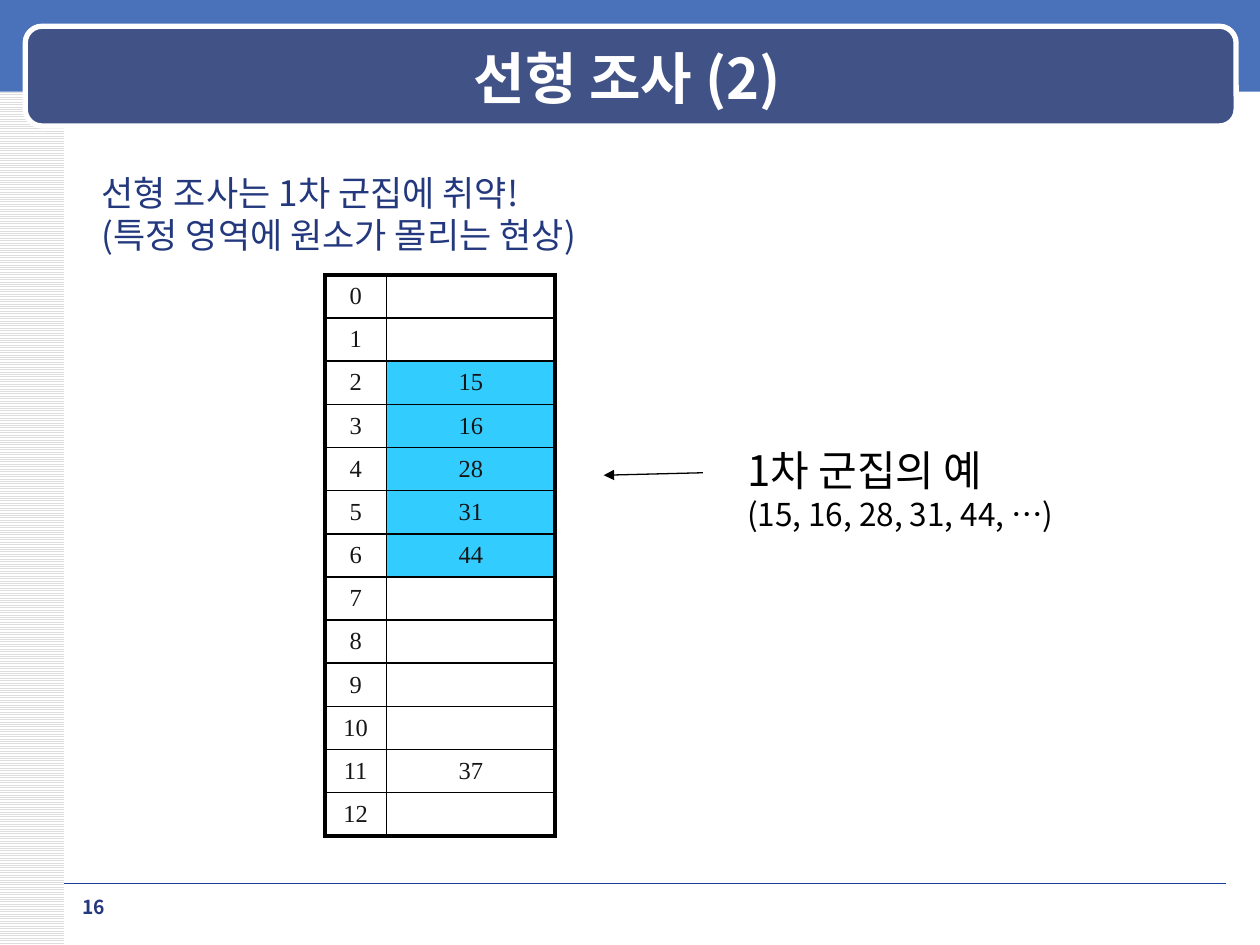
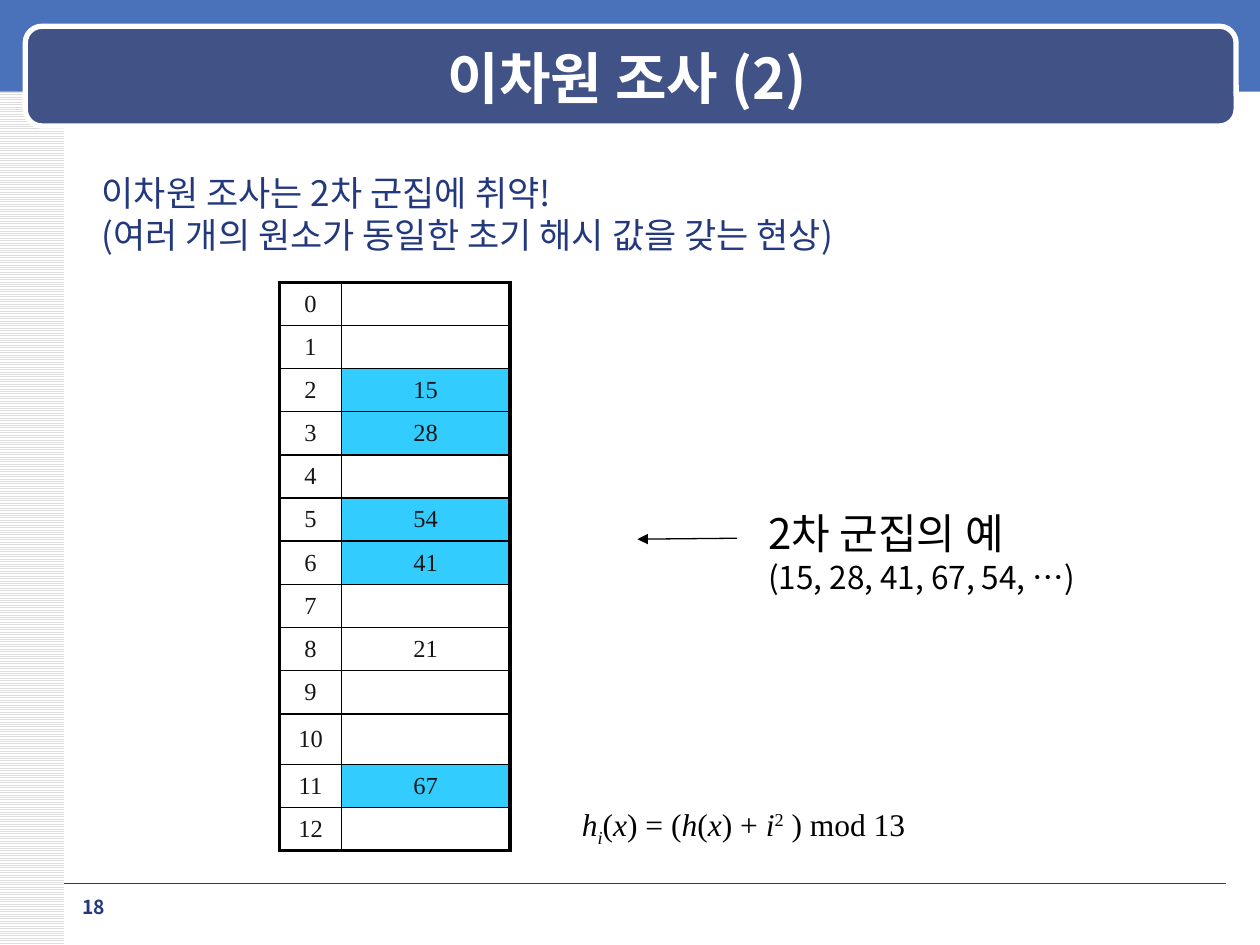
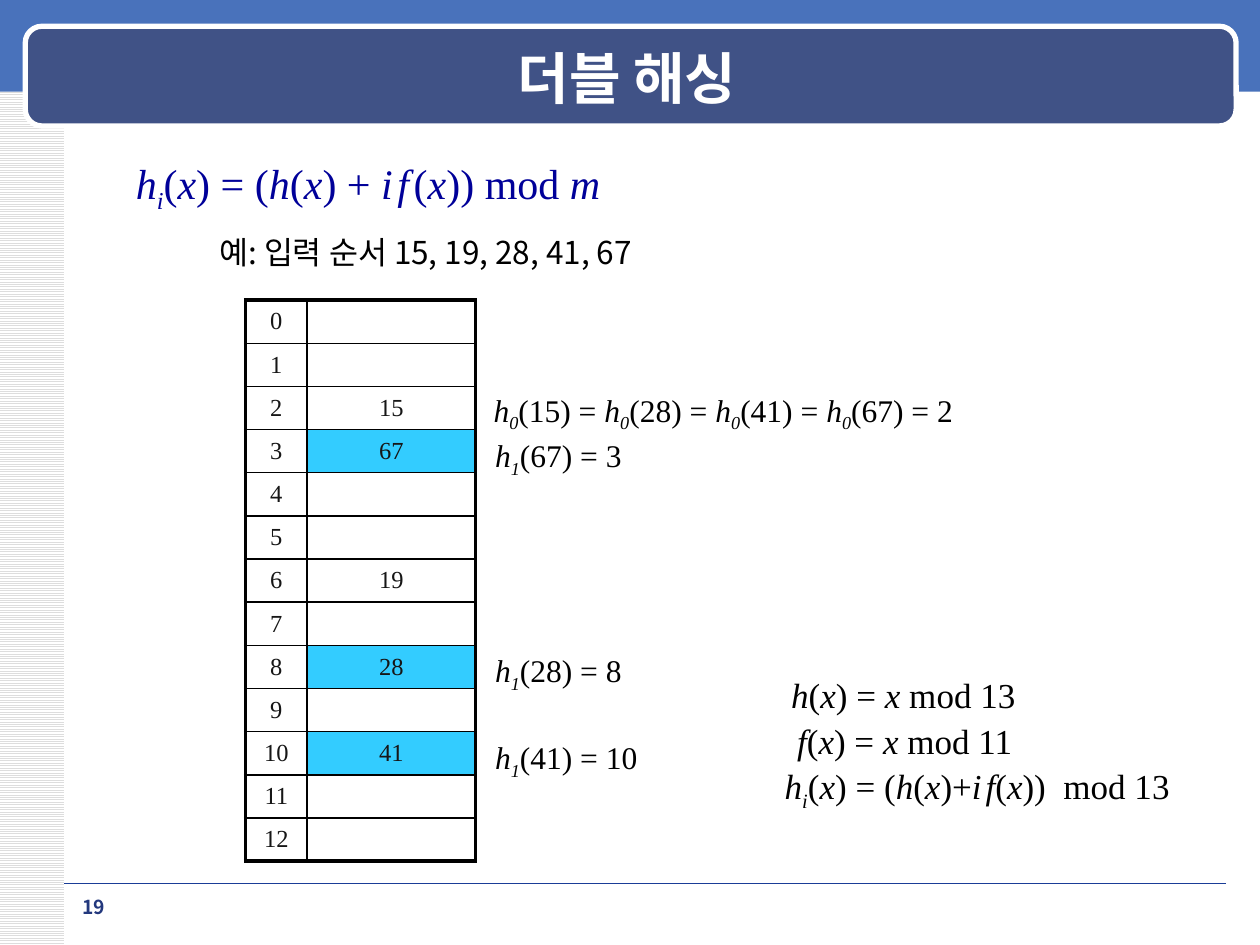
"""Build three slides on hash-table collisions: linear, quadratic and double hashing."""
from lxml import etree
from pptx import Presentation
from pptx.dml.color import RGBColor
from pptx.enum.dml import MSO_PATTERN
from pptx.enum.shapes import MSO_CONNECTOR, MSO_SHAPE
from pptx.enum.text import MSO_ANCHOR, MSO_AUTO_SIZE, PP_ALIGN
from pptx.oxml.ns import qn
from pptx.util import Cm, Pt

LEFT, CENTER = PP_ALIGN.LEFT, PP_ALIGN.CENTER
MIDDLE, TOP = MSO_ANCHOR.MIDDLE, MSO_ANCHOR.TOP
FIT_TEXT, FIXED = MSO_AUTO_SIZE.SHAPE_TO_FIT_TEXT, MSO_AUTO_SIZE.NONE
RECTANGLE, ROUNDED = MSO_SHAPE.RECTANGLE, MSO_SHAPE.ROUNDED_RECTANGLE
STRAIGHT = MSO_CONNECTOR.STRAIGHT
STRIPES = MSO_PATTERN.LIGHT_HORIZONTAL

SANS, SERIF = "Noto Sans CJK KR", "Times New Roman"
COLORS = {
    "white": "FFFFFF", "black": "000000", "stripe": "DDDDDD", "band": "4972BB",
    "panel": "405286", "rule": "1A3D97", "navy": "23387D", "formula": "000099",
    "digit": "161616", "occupied": "33CCFF",
}

SLIDE_WIDTH, SLIDE_HEIGHT = 25.4, 19.05
SLOT_COUNT, SLOT_HEIGHT = 13, 0.87
INDEX_WIDTH, KEY_WIDTH = 1.24, 3.4
OUTER_BORDER, INNER_BORDER = 2.25, 1

# Formula notation: parts split by "|"; a lone letter is italic, "_" lowers, "^" raises.
SLIDES = [
    {
        "title": "선형 조사 (2)", "number": 16,
        "claim": (["선형 조사는 1차 군집에 취약!", "(특정 영역에 원소가 몰리는 현상)"], 11.2),
        "table": {"at": (6.55, 5.54), "keys": {2: 15, 3: 16, 4: 28, 5: 31, 6: 44, 11: 37},
                  "marked": {2, 3, 4, 5, 6}},
        "example": (["1차 군집의 예", "(15, 16, 28, 31, 44, …)"], 14.81, 8.84),
        "arrow": (14.17, 9.53, 12.17, 9.58),
    },
    {
        "title": "이차원 조사 (2)", "number": 18,
        "claim": (["이차원 조사는 2차 군집에 취약!",
                   "(여러 개의 원소가 동일한 초기 해시 값을 갖는 현상)"], 17.2),
        "table": {"at": (5.64, 5.69), "keys": {2: 15, 3: 28, 5: 54, 6: 41, 8: 21, 11: 67},
                  "marked": {2, 3, 5, 6, 11}, "heights": {10: 1.02}},
        "example": (["2차 군집의 예", "(15, 28, 41, 67, 54, …)"], 15.24, 10.11),
        "arrow": (14.86, 10.85, 12.85, 10.87),
        "formulas": [
            ("h|_i|(|x|) = (|h|(|x|) + |i|^2| ) mod 13", 11.48, 16.1, 7.14, 18, "black"),
        ],
    },
    {
        "title": "더블 해싱", "number": 19,
        "table": {"at": (4.95, 6.05), "keys": {2: 15, 3: 67, 6: 19, 8: 28, 10: 41},
                  "marked": {3, 8, 10}},
        "input": "예: 입력 순서 15, 19, 28, 41, 67",
        "formulas": [
            ("h|_i|(|x|) = (|h|(|x|) + |i| |f| |(|x|)) mod |m", 2.49, 3.05, 9.98, 24, "formula"),
            ("h|(|x|) = |x| mod 13", 15.7, 13.46, 5.05, 20, "black"),
            ("f|(|x|) = |x| mod 11", 15.82, 14.38, 4.88, 20, "black"),
            ("h|_i|(|x|) = (|h|(|x|)+|i| |f|(|x|))  mod 13", 15.57, 15.29, 8.33, 20, "black"),
            ("h|_0|(15) = |h|_0|(28) = |h|_0|(41) = |h|_0|(67) = 2", 9.7, 7.75, 10.03, 18, "black"),
            ("h|_1|(67) = 3", 9.73, 8.66, 3.12, 18, "black"),
            ("h|_1|(28) = 8", 9.73, 13, 3.12, 18, "black"),
            ("h|_1|(41) = 10", 9.73, 14.76, 3.43, 18, "black"),
        ],
    },
]


def rgb(color):
    return RGBColor.from_string(COLORS[color])


def style_paragraph(paragraph, size, font, color, align=LEFT, bold=False):
    paragraph.alignment = align
    paragraph.font.size = Pt(size)
    paragraph.font.bold = bold
    paragraph.font.color.rgb = rgb(color)
    paragraph.font.name = font
    defaults = paragraph._p.pPr.find(qn("a:defRPr"))
    etree.SubElement(defaults, qn("a:ea"), typeface=font)


def add_parts(paragraph, notation, size):
    for part in notation.split("|"):
        run = paragraph.add_run()
        run.text = part.lstrip("_^")
        if part.startswith(("_", "^")):
            baseline = "-25000" if part[0] == "_" else "30000"
            run._r.get_or_add_rPr().set("baseline", baseline)
        if part == " ":
            run.font.size = Pt(round(size * 0.88) / 2)
        if part.startswith("_") or part == " " or (len(part) == 1 and part.isalpha()):
            run.font.italic = True


def add_text(slide, box, lines, font, color, align=LEFT, bold=False, anchor=TOP, fit=True):
    frame = slide.shapes.add_textbox(*map(Cm, box)).text_frame
    frame.word_wrap = not fit
    frame.auto_size = FIT_TEXT if fit else FIXED
    frame.vertical_anchor = anchor
    for position, (notation, size) in enumerate(lines):
        paragraph = frame.add_paragraph() if position else frame.paragraphs[0]
        style_paragraph(paragraph, size, font, color, align, bold)
        add_parts(paragraph, notation, size)


def add_block(slide, kind, box, color):
    block = slide.shapes.add_shape(kind, *map(Cm, box))
    block.shadow.inherit = False
    block.fill.solid()
    block.fill.fore_color.rgb = rgb(color)
    block.line.fill.background()
    return block


def add_line(slide, ends, color, width):
    line = slide.shapes.add_connector(STRAIGHT, *map(Cm, ends))
    line.line.color.rgb = rgb(color)
    line.line.width = Pt(width)
    etree.SubElement(line._element.spPr, qn("a:effectLst"))
    return line


def add_frame(slide, title, number):
    strip = add_block(slide, RECTANGLE, (0, 0, 1.3, SLIDE_HEIGHT), "white")
    strip.fill.patterned()
    strip.fill.pattern = STRIPES
    strip.fill.fore_color.rgb = rgb("stripe")
    strip.fill.back_color.rgb = rgb("white")
    add_block(slide, RECTANGLE, (0, 0, SLIDE_WIDTH, 1.85), "band")
    add_line(slide, (1.3, 17.81, 24.71, 17.81), "rule", 0.25)
    panel = add_block(slide, ROUNDED, (0.51, 0.53, 24.41, 2.01), "panel")
    panel.line.color.rgb = rgb("white")
    panel.line.width = Pt(3)
    add_text(slide, (1.8, 0.76, 21.69, 1.57), [(title, 32)], SANS, "white",
             CENTER, True, MIDDLE, fit=False)
    add_text(slide, (1.3, 17.93, 1.19, 0.69), [(str(number), 11)], SANS, "navy",
             CENTER, True, fit=False)


def set_borders(cell, widths):
    properties = cell._tc.get_or_add_tcPr()
    for position, (side, width) in enumerate(widths.items()):
        border = etree.Element(qn(f"a:ln{side}"), w=str(Pt(width)))
        fill = etree.SubElement(border, qn("a:solidFill"))
        etree.SubElement(fill, qn("a:srgbClr"), val=COLORS["black"])
        properties.insert(position, border)


def add_hash_table(slide, at, keys, marked, heights=None):
    row_heights = [(heights or {}).get(slot, SLOT_HEIGHT) for slot in range(SLOT_COUNT)]
    size = (INDEX_WIDTH + KEY_WIDTH, sum(row_heights))
    table = slide.shapes.add_table(SLOT_COUNT, 2, *map(Cm, at + size)).table
    table.first_row = table.horz_banding = False
    for column, width in zip(table.columns, (INDEX_WIDTH, KEY_WIDTH)):
        column.width = Cm(width)
    for slot, height in enumerate(row_heights):
        table.rows[slot].height = Cm(height)
        for column, value in enumerate((slot, keys.get(slot, ""))):
            cell = table.cell(slot, column)
            cell.text = str(value)
            cell.margin_top = cell.margin_bottom = 0
            cell.vertical_anchor = MIDDLE
            style_paragraph(cell.text_frame.paragraphs[0], 14, SERIF, "digit", CENTER)
            if column == 1 and slot in marked:
                cell.fill.solid()
                cell.fill.fore_color.rgb = rgb("occupied")
            else:
                cell.fill.background()
            outer = {"L": column == 0, "R": column == 1,
                     "T": slot == 0, "B": slot == SLOT_COUNT - 1}
            set_borders(cell, {side: OUTER_BORDER if edge else INNER_BORDER
                               for side, edge in outer.items()})


def add_arrow(slide, ends):
    arrow = add_line(slide, ends, "black", 0.75)
    etree.SubElement(arrow.line._get_or_add_ln(), qn("a:tailEnd"), type="triangle")


def build_slide(deck, content):
    slide = deck.slides.add_slide(deck.slide_layouts[6])
    add_frame(slide, content["title"], content["number"])
    if "claim" in content:
        lines, width = content["claim"]
        add_text(slide, (1.8, 3.33, width, 1.96), [(line, 20) for line in lines], SANS, "navy")
    add_hash_table(slide, **content["table"])
    if "example" in content:
        lines, left, top = content["example"]
        add_text(slide, (left, top, 6.76, 2.06), zip(lines, (24, 18)), SANS, "black")
        add_arrow(slide, content["arrow"])
    for notation, left, top, width, size, color in content.get("formulas", []):
        box = (left, top, width, size * 0.05 + 0.1)
        add_text(slide, box, [(notation, size)], SERIF, color)
    if "input" in content:
        add_text(slide, (4.17, 4.57, 9.55, 1.02), [(content["input"], 18)], SANS, "black")


def main():
    deck = Presentation()
    deck.slide_width, deck.slide_height = Cm(SLIDE_WIDTH), Cm(SLIDE_HEIGHT)
    for content in SLIDES:
        build_slide(deck, content)
    deck.save("out.pptx")


if __name__ == "__main__":
    main()
